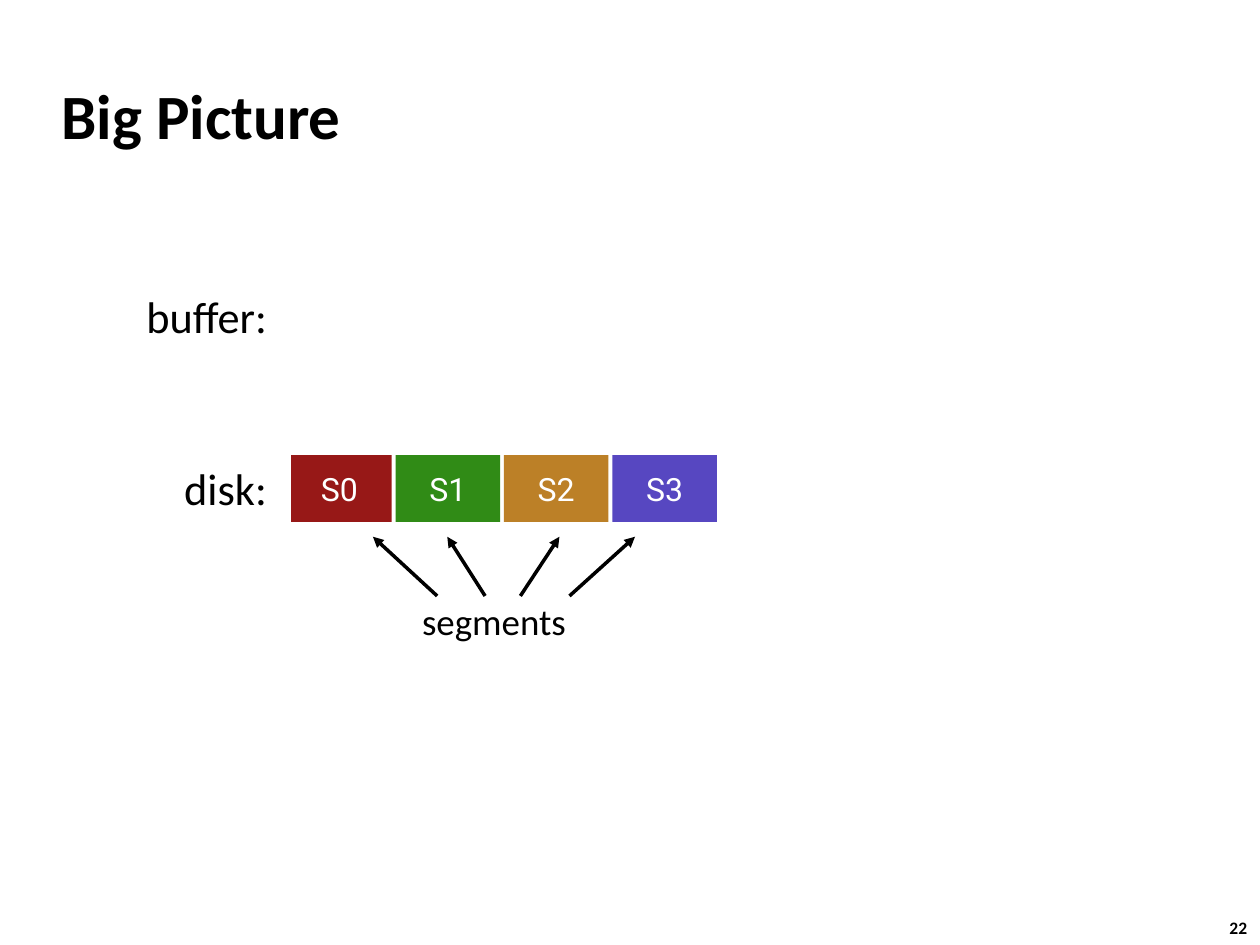
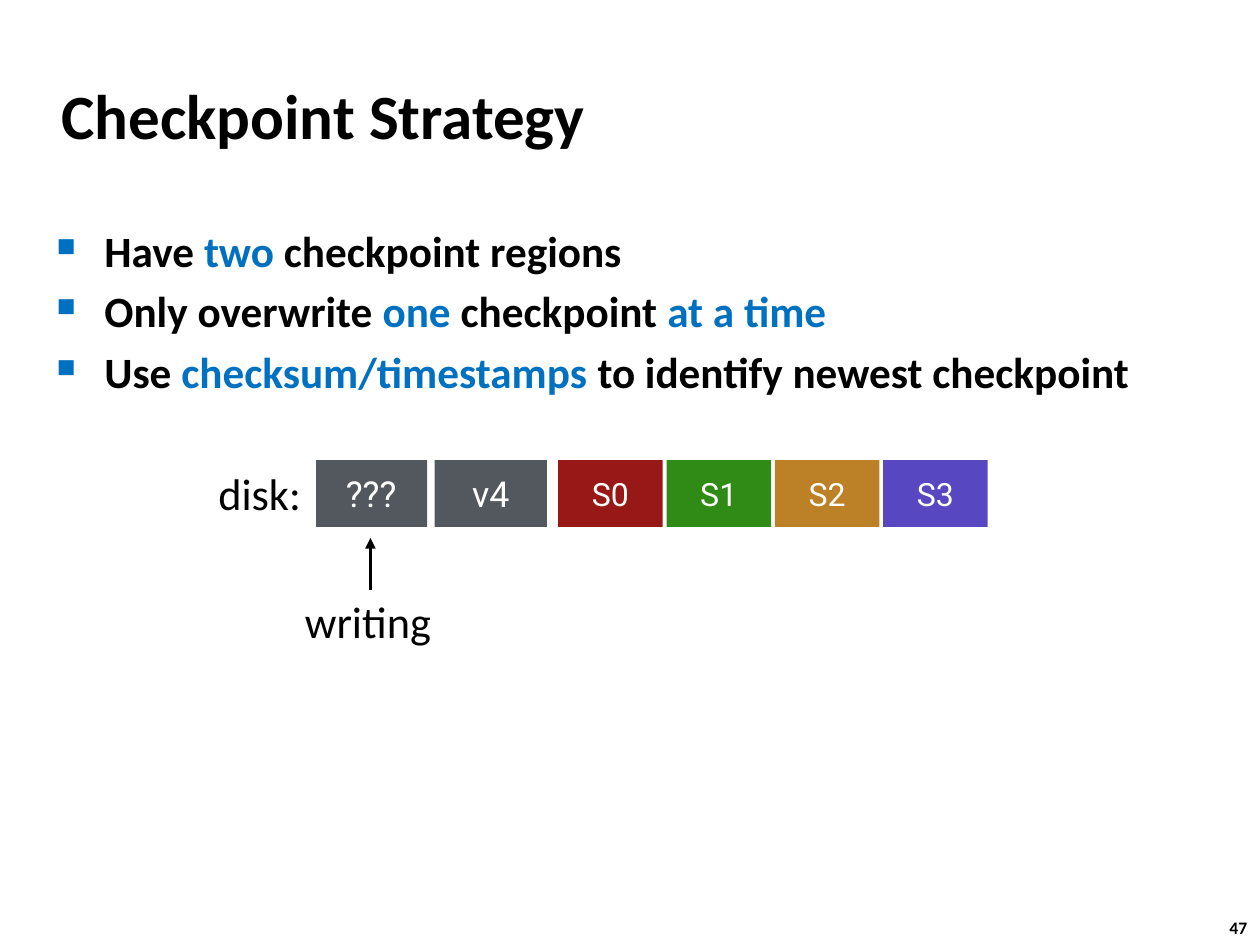
from pptx import Presentation
from pptx.dml.color import RGBColor
from pptx.enum import shapes, text
from pptx.oxml import ns
from pptx.util import Inches, Pt
from lxml import etree

BLACK = RGBColor(0x00, 0x00, 0x00)
WHITE = RGBColor(0xFF, 0xFF, 0xFF)
BLUE = RGBColor(0x00, 0x70, 0xC0)
GREY = RGBColor(0x53, 0x58, 0x5F)
RED = RGBColor(0x97, 0x18, 0x17)
GREEN = RGBColor(0x30, 0x8B, 0x16)
GOLD = RGBColor(0xBC, 0x80, 0x27)
PURPLE = RGBColor(0x57, 0x47, 0xC1)
HUES = [RED, GREEN, GOLD, PURPLE]
HIGH = 0.59
STEP = 0.86


def label(slide, words, spot, size, bold=False, right=False, pad=0.04):
    box = slide.shapes.add_textbox(*map(Inches, spot))
    frame = box.text_frame
    frame.vertical_anchor = text.MSO_ANCHOR.MIDDLE
    frame.margin_left = frame.margin_right = Inches(pad)
    frame.margin_top = frame.margin_bottom = Inches(min(pad, 0.05))
    para = frame.paragraphs[0]
    para.text = words
    para.alignment = text.PP_ALIGN.RIGHT if right else text.PP_ALIGN.LEFT
    para.font.name = "Calibri"
    para.font.size = Pt(size)
    para.font.bold = bold
    para.font.color.rgb = BLACK


def arrow(slide, x1, y1, x2, y2):
    line = slide.shapes.add_connector(
        shapes.MSO_CONNECTOR.STRAIGHT, *map(Inches, (x1, y1, x2, y2)))
    line.line.color.rgb = BLACK
    line.line.width = Pt(2)
    etree.SubElement(line.line._get_or_add_ln(), ns.qn("a:tailEnd"), type="triangle")
    etree.SubElement(line._element.spPr, ns.qn("a:effectLst"))


deck = Presentation()
deck.slide_width = Inches(10)
deck.slide_height = Inches(7.5)

pages = [
    ("Big Picture", "22", 3.58, 1.4, 2.28, (2.28, 5.44), []),
    ("Checkpoint Strategy", "47", 3.62, 1.67, 4.43, (2.48, 5.7),
     [("???", 2.5), ("v4", 3.45)]),
]
for title, number, top, disk, start, (edge, span), points in pages:
    slide = deck.slides.add_slide(deck.slide_layouts[6])
    label(slide, number, (9.66, 7.23, 0.37, 0.27), 10, bold=True, pad=0.1)
    label(slide, title, (0.39, 0.49, 8.3, 0.83), 36, bold=True, pad=0.1)
    label(slide, "disk:", (disk, top + 0.04, 0.76, 0.5), 25.3, right=True)

    blocks = [(name, x, 0.89, GREY, 20.4) for name, x in points]
    blocks += [(f"S{i}", start + i * STEP, 0.83, hue, 18.3)
               for i, hue in enumerate(HUES)]
    for name, x, wide, hue, size in blocks:
        block = slide.shapes.add_shape(
            shapes.MSO_SHAPE.RECTANGLE, *map(Inches, (x, top, wide, HIGH)))
        block.shadow.inherit = False
        block.fill.solid()
        block.fill.fore_color.rgb = hue
        block.line.fill.background()
        frame = block.text_frame
        frame.margin_left = frame.margin_right = 0
        frame.margin_top = frame.margin_bottom = 0
        frame.vertical_anchor = text.MSO_ANCHOR.MIDDLE
        para = frame.paragraphs[0]
        para.text = name
        para.alignment = text.PP_ALIGN.CENTER
        para.font.name = "Roboto"
        para.font.size = Pt(size)
        para.font.color.rgb = WHITE

    border = slide.shapes.add_shape(
        shapes.MSO_SHAPE.RECTANGLE, *map(Inches, (edge, top, span, HIGH)))
    border.shadow.inherit = False
    border.fill.background()
    border.line.color.rgb = WHITE
    border.line.width = Pt(4)

first, second = deck.slides
label(first, "buffer:", (1.11, 2.26, 1.05, 0.5), 25.3, right=True)
label(first, "segments", (3.31, 4.71, 1.23, 0.43), 21.1)
for tail, head in [(3.47, 2.96), (3.85, 3.55), (4.13, 4.44), (4.52, 5.04)]:
    arrow(first, tail, 4.73, head, 4.26)

label(second, "writing", (2.38, 4.68, 1.09, 0.5), 25.3)
arrow(second, 2.94, 4.68, 2.94, 4.27)

items = [
    [("Have ", BLACK), ("two", BLUE), (" checkpoint regions", BLACK)],
    [("Only overwrite ", BLACK), ("one ", BLUE), ("checkpoint ", BLACK),
     ("at a time", BLUE)],
    [("Use ", BLACK), ("checksum/timestamps ", BLUE),
     ("to identify newest checkpoint", BLACK)],
]
body = second.shapes.add_textbox(*map(Inches, (0.35, 1.73, 9.38, 1.63))).text_frame
body.word_wrap = True
for i, item in enumerate(items):
    para = body.add_paragraph() if i else body.paragraphs[0]
    if i:
        para.space_before = Pt(5)
    props = para._p.get_or_add_pPr()
    props.set("marL", str(Inches(0.38)))
    props.set("indent", str(-Inches(0.38)))
    tint = etree.SubElement(props, ns.qn("a:buClr"))
    etree.SubElement(tint, ns.qn("a:srgbClr"), val=str(BLUE))
    etree.SubElement(props, ns.qn("a:buSzPct"), val="60000")
    etree.SubElement(props, ns.qn("a:buChar"), char="■")
    para.font.name = "Calibri"
    para.font.size = Pt(24.7)
    para.font.bold = True
    for words, hue in item:
        run = para.add_run()
        run.text = words
        run.font.color.rgb = hue

deck.save("out.pptx")
